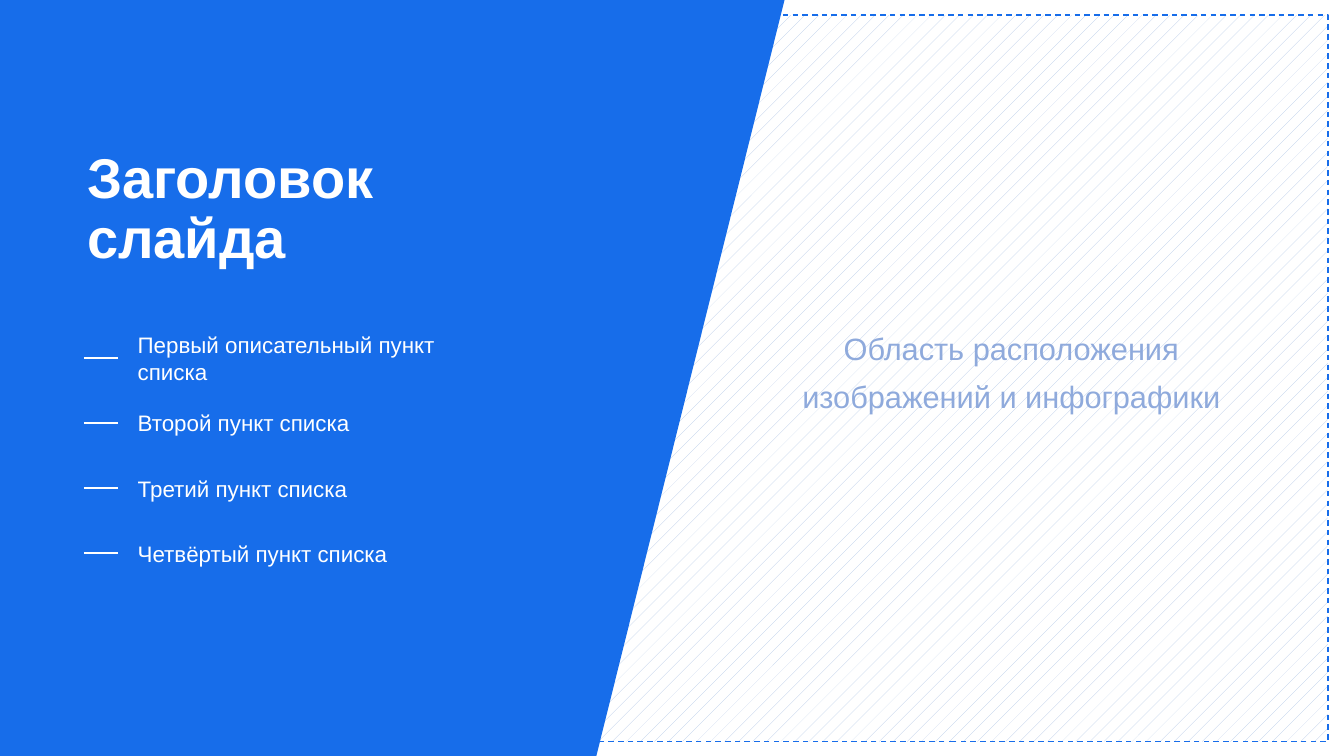
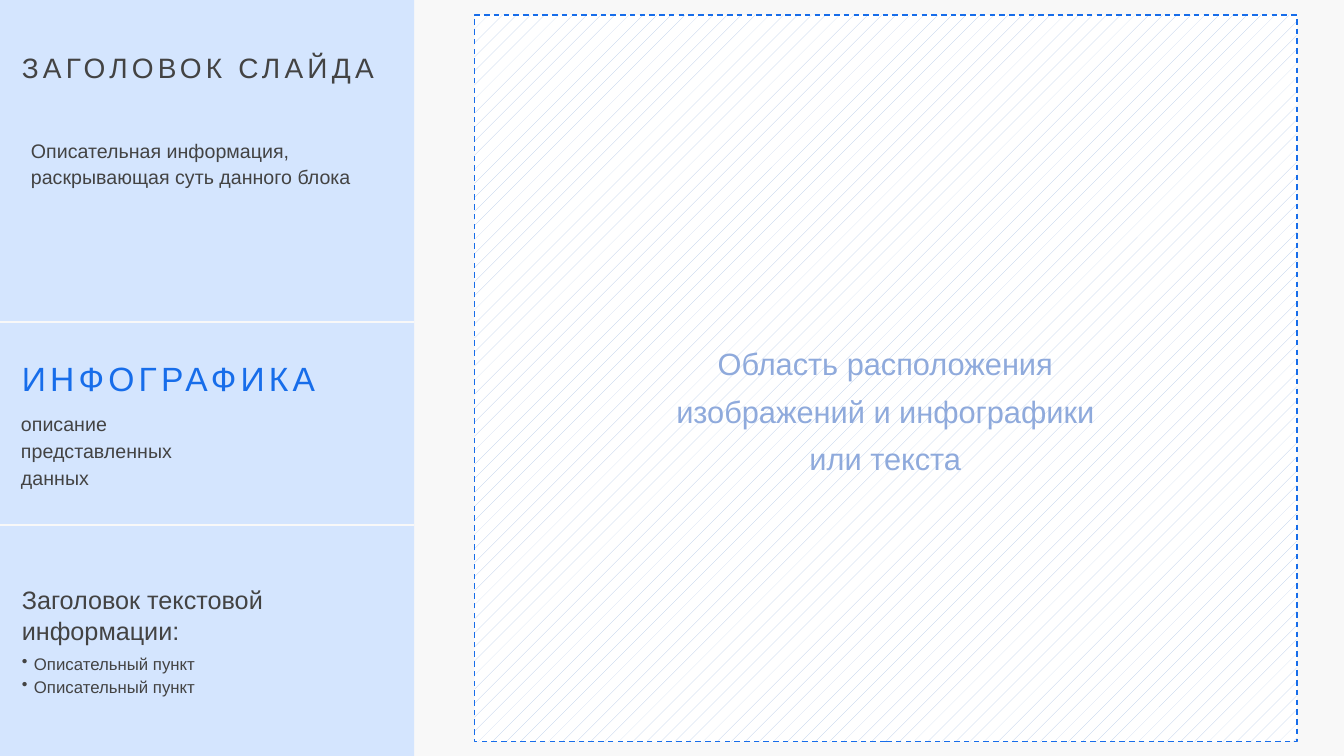
"""Builds two layout slides: a slanted cover list and a sidebar with an image area."""
from dataclasses import dataclass

from lxml import etree
from pptx import Presentation
from pptx import util as u
from pptx.dml.color import RGBColor
from pptx.enum import dml, shapes, text
from pptx.oxml.ns import qn

CELL = u.Inches(1 / 12)
COLUMNS, ROWS = 160, 90


@dataclass(frozen=True)
class Theme:
    font: str = "Arial"
    blue: str = "176DEA"
    pale_blue: str = "D4E5FE"
    hatch: str = "B4C7E7"
    caption: str = "8FAADC"
    ink: str = "434343"
    white: str = "FFFFFF"
    light: str = "F8F8F8"
    cover_size: int = 40
    accent_size: int = 24
    caption_size: int = 22
    heading_size: int = 20
    subheading_size: int = 18
    item_size: int = 16
    body_size: int = 14
    bullet_size: int = 12
    rule_width: float = 1.5
    body_spacing: float = 1.14
    tracking: int = 3


def cells(*values):
    return [round(value * CELL) for value in values]


def rgb(color):
    return RGBColor.from_string(color)


class Deck:
    def __init__(self, theme):
        self.theme = theme
        self.presentation = Presentation()
        self.presentation.slide_width, self.presentation.slide_height = cells(COLUMNS, ROWS)
        self.slide = None

    def new_slide(self, background):
        self.slide = self.presentation.slides.add_slide(self.presentation.slide_layouts[6])
        fill = self.slide.background.fill
        fill.solid()
        fill.fore_color.rgb = rgb(background)

    def paint(self, shape, color):
        shape.shadow.inherit = False
        shape.fill.solid()
        shape.fill.fore_color.rgb = rgb(color)
        shape.line.fill.background()

    def rectangle(self, box):
        return self.slide.shapes.add_shape(shapes.MSO_SHAPE.RECTANGLE, *cells(*box))

    def band(self, box, color):
        self.paint(self.rectangle(box), color)

    def polygon(self, points, color):
        first, *rest = [cells(*point) for point in points]
        builder = self.slide.shapes.build_freeform(*first)
        builder.add_line_segments(rest, close=True)
        self.paint(builder.convert_to_shape(), color)

    def rule(self, left, right, row, color):
        line = self.slide.shapes.add_connector(
            shapes.MSO_CONNECTOR.STRAIGHT, *cells(left, row, right, row))
        line.line.color.rgb = rgb(color)
        line.line.width = u.Pt(self.theme.rule_width)
        etree.SubElement(line._element.spPr, qn("a:effectLst"))

    def style(self, paragraph, size, color, bold=False):
        font = paragraph.font
        font.name, font.size, font.bold = self.theme.font, u.Pt(size), bold
        font.color.rgb = rgb(color)

    def text(self, box, lines, size, color, bold=False, spacing=1.0, gap=0, tracking=0,
             align=text.PP_ALIGN.LEFT, anchor=text.MSO_ANCHOR.TOP, inset=False):
        frame = self.slide.shapes.add_textbox(*cells(*box)).text_frame
        frame.word_wrap = True
        frame.vertical_anchor = anchor
        if not inset:
            frame.margin_left = frame.margin_right = frame.margin_top = frame.margin_bottom = 0
        for index, line in enumerate(lines):
            paragraph = frame.add_paragraph() if index else frame.paragraphs[0]
            paragraph.alignment = align
            paragraph.line_spacing = spacing
            paragraph.space_before = u.Pt(gap if index else 0)
            run = paragraph.add_run()
            run.text = line
            if tracking:
                run._r.get_or_add_rPr().set("spc", str(tracking * 100))
            self.style(paragraph, size, color, bold)
        return frame

    def bullets(self, frame, items, first_gap, gap):
        for index, item in enumerate(items):
            paragraph = frame.add_paragraph()
            paragraph.text = item
            paragraph.space_before = u.Pt(gap if index else first_gap)
            properties = paragraph._p.get_or_add_pPr()
            indent = u.Inches(0.12)
            properties.set("marL", str(indent))
            properties.set("indent", str(-indent))
            etree.SubElement(properties, qn("a:buChar"), char="•")
            self.style(paragraph, self.theme.bullet_size, self.theme.ink)

    def image_area(self, left, width, center, lines):
        theme = self.theme
        area = self.rectangle((left, 1.8, width, 86.5))
        area.shadow.inherit = False
        area.fill.patterned()
        area.fill.pattern = dml.MSO_PATTERN.PERCENT_5
        area.fill.fore_color.rgb = rgb(theme.hatch)
        area.fill.back_color.rgb = rgb(theme.white)
        area.line.color.rgb = rgb(theme.blue)
        area.line.width = u.Pt(1)
        area.line.dash_style = dml.MSO_LINE.DASH
        column, row = center
        self.text((column - 35.4, row - 10, 70.8, 20), lines, theme.caption_size, theme.caption,
                  spacing=0.9, gap=10, align=text.PP_ALIGN.CENTER,
                  anchor=text.MSO_ANCHOR.MIDDLE, inset=True)

    def dash_list(self, items, top, pitch):
        theme = self.theme
        for index, item in enumerate(items):
            row = top + index * pitch
            self.rule(10, 14, row, theme.white)
            self.text((16.4, row - 3.5, 37, 7), [item], theme.item_size, theme.white,
                      anchor=text.MSO_ANCHOR.MIDDLE)


def cover_slide(deck):
    theme = deck.theme
    deck.new_slide(theme.white)
    deck.image_area(69.1, 89, (120.4, 44.6), ["Область расположения", "изображений и инфографики"])
    deck.polygon([(0, 0), (93.4, 0), (71, ROWS), (0, ROWS)], theme.blue)
    deck.text((9.2, 13.6, 57.5, 22.9), ["Заголовок слайда"], theme.cover_size, theme.white,
              bold=True, spacing=0.9, anchor=text.MSO_ANCHOR.MIDDLE, inset=True)
    deck.dash_list(["Первый описательный пункт списка", "Второй пункт списка",
                    "Третий пункт списка", "Четвёртый пункт списка"], 42.6, 7.76)


def sidebar_slide(deck):
    theme = deck.theme
    sidebar = 49.3
    deck.new_slide(theme.light)
    deck.band((0, 0, sidebar, ROWS), theme.pale_blue)
    for row in (38.3, 62.5):
        deck.rule(0, sidebar, row, theme.light)
    deck.text((2.6, 5.4, 44.8, 4.7), ["ЗАГОЛОВОК СЛАЙДА"], theme.heading_size, theme.ink,
              spacing=1.15, tracking=theme.tracking)
    deck.text((2.5, 15.5, 42.6, 22), ["Описательная информация, раскрывающая суть данного блока"],
              theme.body_size, theme.ink, spacing=theme.body_spacing, inset=True)
    deck.text((2.6, 42.6, 46, 4.8), ["ИНФОГРАФИКА"], theme.accent_size, theme.blue,
              tracking=theme.tracking)
    deck.text((2.5, 48.7, 46, 9.5), ["описание", "представленных", "данных"],
              theme.body_size, theme.ink, spacing=theme.body_spacing)
    details = deck.text((2.6, 69.6, 33.7, 13.4), ["Заголовок текстовой информации:"],
                        theme.subheading_size, theme.ink)
    deck.bullets(details, ["Описательный пункт"] * 2, first_gap=6, gap=2)
    deck.image_area(56.5, 97.9, (105.4, 49.2),
                    ["Область расположения", "изображений и инфографики", "или текста"])


def main():
    deck = Deck(Theme())
    cover_slide(deck)
    sidebar_slide(deck)
    deck.presentation.save("out.pptx")


if __name__ == "__main__":
    main()
